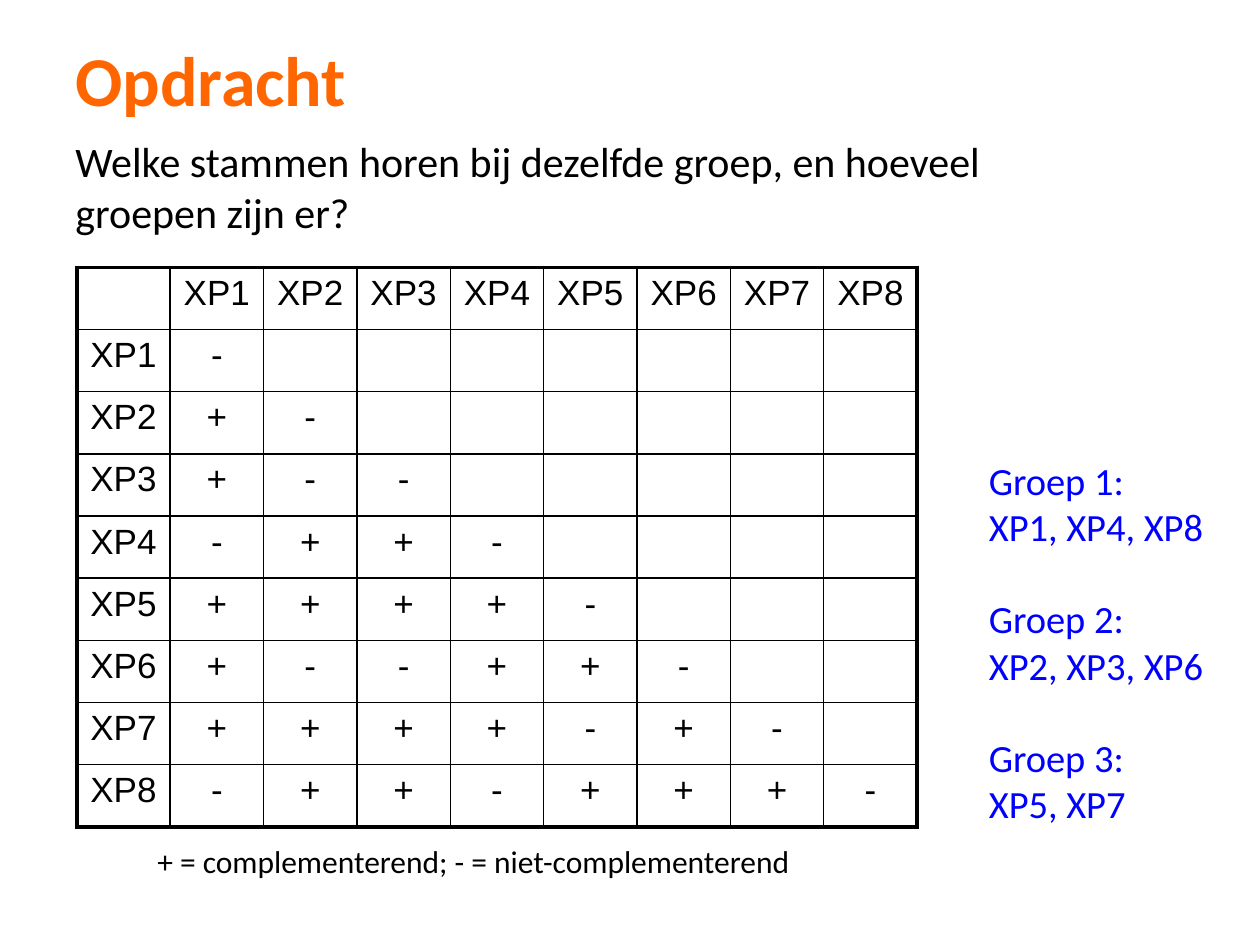
from dataclasses import dataclass

from lxml import etree
from pptx import Presentation
from pptx.dml.color import RGBColor
from pptx.enum.text import MSO_ANCHOR, MSO_AUTO_SIZE, PP_ALIGN
from pptx.oxml.ns import qn
from pptx.util import Inches, Pt

CENTER, LEFT = PP_ALIGN.CENTER, PP_ALIGN.LEFT
MIDDLE, FIXED = MSO_ANCHOR.MIDDLE, MSO_AUTO_SIZE.NONE


@dataclass(frozen=True)
class Theme:
    font: str = "Calibri"
    grid_font: str = "Arial"
    ink: str = "000000"
    accent: str = "FF6600"
    answer: str = "0000FF"
    paper: str = "FFFFFF"
    title: int = 40
    lead: int = 24
    group: int = 22
    cell: int = 20
    note: int = 18
    thin: float = 1
    thick: float = 2.25


THEME = Theme()
WIDTH, HEIGHT = 10, 7.5

# One string per strain: its results against XP1 up to itself
RESULTS = ["-", "+-", "+--", "-++-", "++++-", "+--++-", "++++-+-", "-++-+++-"]
GROUPS = [("Groep 1:", "XP1, XP4, XP8"),
          ("Groep 2:", "XP2, XP3, XP6"),
          ("Groep 3:", "XP5, XP7")]


def place(left, top, width, height):
    """Turn shares of the slide into lengths."""
    return (Inches(left * WIDTH), Inches(top * HEIGHT),
            Inches(width * WIDTH), Inches(height * HEIGHT))


def style(par, size, color, font=THEME.font, bold=False):
    for run in par.runs:
        run.font.name = font
        run.font.size = Pt(size)
        run.font.bold = bold
        run.font.color.rgb = RGBColor.from_string(color)


def add_title(slide, box, text):
    title = slide.shapes.title
    title.left, title.top, title.width, title.height = box
    frame = title.text_frame
    frame.text = text
    frame.auto_size = FIXED
    frame.vertical_anchor = MIDDLE
    par = frame.paragraphs[0]
    par.alignment = LEFT
    par.line_spacing = 0.9
    style(par, THEME.title, THEME.accent, bold=True)


def add_text(slide, box, text, size, color=THEME.ink):
    frame = slide.shapes.add_textbox(*box).text_frame
    frame.word_wrap = True
    frame.text = text
    for par in frame.paragraphs:
        style(par, size, color)
    return frame


def add_groups(slide, box, groups):
    lines = "\n".join(line for group in groups for line in group)
    frame = add_text(slide, box, lines, THEME.group, THEME.answer)
    for par in frame.paragraphs[2::2]:
        par.space_before = Pt(1.2 * THEME.group)


def add_edge(cell, side, width):
    """Append a cell border; call before the cell gets its fill."""
    props = cell._tc.get_or_add_tcPr()
    line = etree.SubElement(props, qn(f"a:ln{side}"), w=str(Pt(width)))
    fill = etree.SubElement(line, qn("a:solidFill"))
    etree.SubElement(fill, qn("a:srgbClr"), val=THEME.ink)


def add_matrix(slide, box, results):
    """Draw a square table with a heavy frame and thin inner lines."""
    names = [f"XP{i}" for i in range(1, len(results) + 1)]
    rows = [["", *names]] + [[n, *marks] for n, marks in zip(names, results)]
    count = len(rows)
    last = count - 1
    table = slide.shapes.add_table(count, count, *box).table
    table.first_row = table.horz_banding = False
    for r, row in enumerate(rows):
        for c in range(count):
            cell = table.cell(r, c)
            outer = {"L": c == 0, "R": c == last, "T": r == 0, "B": r == last}
            for side, heavy in outer.items():
                add_edge(cell, side, THEME.thick if heavy else THEME.thin)
            cell.fill.solid()
            cell.fill.fore_color.rgb = RGBColor.from_string(THEME.paper)
            if c < len(row) and row[c]:
                cell.text = row[c]
                par = cell.text_frame.paragraphs[0]
                par.alignment = CENTER
                style(par, THEME.cell, THEME.ink, THEME.grid_font)


def main():
    deck = Presentation()
    deck.slide_width, deck.slide_height = Inches(WIDTH), Inches(HEIGHT)
    slide = deck.slides.add_slide(deck.slide_layouts[5])
    add_matrix(slide, place(0.061, 0.283, 0.667, 0.592), RESULTS)
    add_text(slide, place(0.115, 0.885, 0.606, 0.053),
             "+ = complementerend; - = niet-complementerend", THEME.note)
    add_text(slide, place(0.05, 0.137, 0.801, 0.121),
             "Welke stammen horen bij dezelfde groep, en hoeveel groepen zijn er?",
             THEME.lead)
    add_title(slide, place(0.05, 0.04, 0.9, 0.097), "Opdracht")
    add_groups(slide, place(0.775, 0.477, 0.206, 0.408), GROUPS)
    deck.save("out.pptx")


if __name__ == "__main__":
    main()
